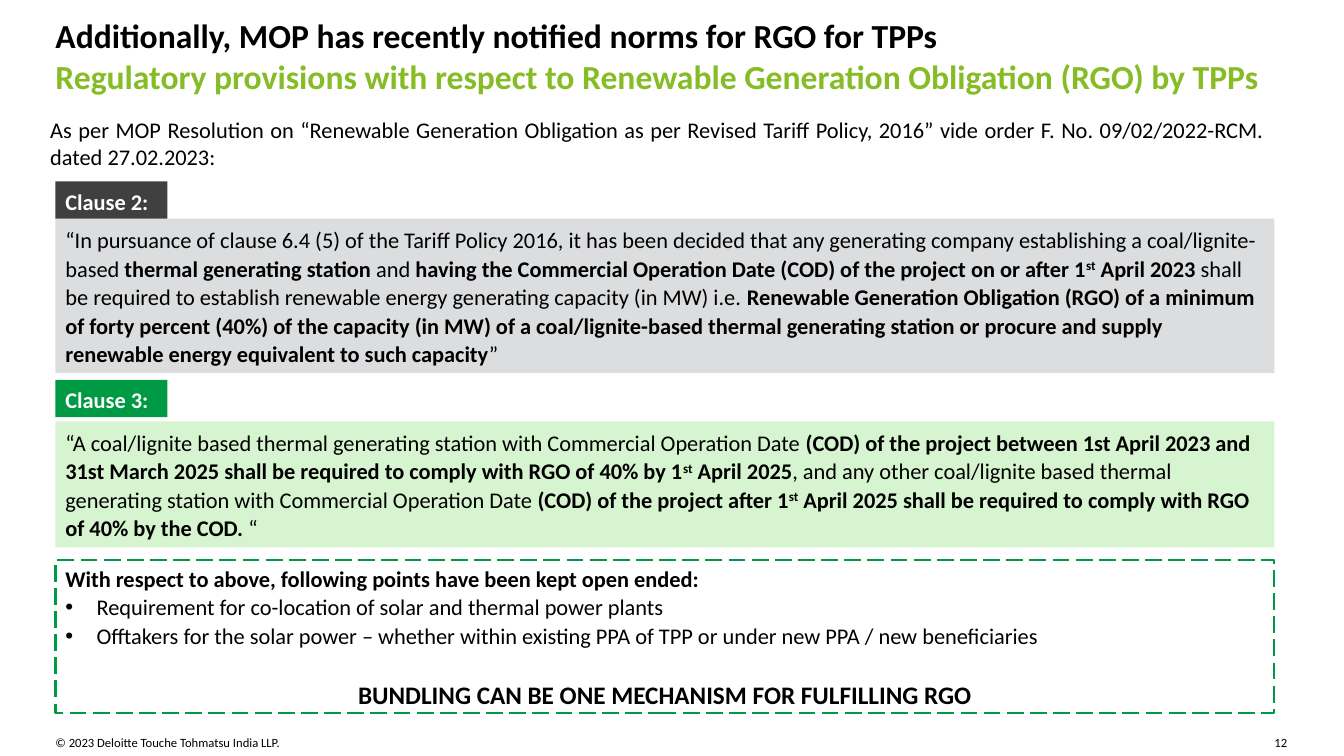
from lxml import etree
from pptx import Presentation
from pptx.dml.color import RGBColor
from pptx.enum.dml import MSO_LINE
from pptx.enum.shapes import MSO_SHAPE
from pptx.enum.text import MSO_ANCHOR, PP_ALIGN
from pptx.oxml.ns import qn
from pptx.util import Inches, Pt

RECTANGLE = MSO_SHAPE.RECTANGLE
LONG_DASH = MSO_LINE.LONG_DASH
TOP, MIDDLE = MSO_ANCHOR.TOP, MSO_ANCHOR.MIDDLE
LEFT, CENTER, JUSTIFY = PP_ALIGN.LEFT, PP_ALIGN.CENTER, PP_ALIGN.JUSTIFY

BLACK = RGBColor(0x00, 0x00, 0x00)
WHITE = RGBColor(0xFF, 0xFF, 0xFF)
LIME = RGBColor(0x86, 0xBC, 0x25)
GREEN = RGBColor(0x00, 0x9A, 0x44)
PALE_GREEN = RGBColor(0xD7, 0xF4, 0xD0)
CHARCOAL = RGBColor(0x40, 0x40, 0x40)
GREY = RGBColor(0xDC, 0xDD, 0xDF)

FONT = "Calibri"
SLIDE_WIDTH, SLIDE_HEIGHT = 13.33, 7.5
MARGIN = 0.55
BODY_WIDTH = 12.09
HEADING_WIDTH = 12.24
TAB_WIDTH, TAB_HEIGHT = 1.11, 0.37
PADDING = 0.1
BULLET_INDENT = 0.31
LINE_SPACING = 1.06

CLAUSE_2 = (
    "“In pursuance of clause 6.4 (5) of the Tariff Policy 2016, it has been decided that any "
    "generating company establishing a coal/lignite-based *thermal generating station *and "
    "*having the Commercial Operation Date (COD) of the project on or after 1^st^ April 2023 *"
    "shall be required to establish renewable energy generating capacity (in MW) i.e. "
    "*Renewable Generation Obligation (RGO) of a minimum of forty percent (40%) of the capacity "
    "(in MW) of a coal/lignite-based thermal generating station or procure and supply renewable "
    "energy equivalent to such capacity*”"
)
CLAUSE_3 = (
    "“A coal/lignite based thermal generating station with Commercial Operation Date "
    "*(COD) of the project between 1st April 2023 and 31st March 2025 shall be required to "
    "comply with RGO of 40% by 1^st^ April 2025*, and any other coal/lignite based thermal "
    "generating station with Commercial Operation Date *(COD) of the project after 1^st^ April "
    "2025 shall be required to comply with RGO of 40% by the COD.* “"
)
OPEN_POINTS = (
    "Requirement for co-location of solar and thermal power plants",
    "Offtakers for the solar power – whether within existing PPA of TPP or under new PPA / "
    "new beneficiaries",
)


def write(frame, text, size=16, color=BLACK, align=LEFT, spacing=1.0, before=0, after=0,
          bullet=False):
    """Asterisks enclose bold text and carets enclose superscripts."""
    first = frame.paragraphs[0]
    paragraph = frame.add_paragraph() if first.runs else first
    paragraph.alignment = align
    paragraph.line_spacing = spacing
    paragraph.space_before, paragraph.space_after = Pt(before), Pt(after)
    if bullet:
        properties = paragraph._p.get_or_add_pPr()
        properties.set("marL", str(Inches(BULLET_INDENT)))
        properties.set("indent", str(-Inches(BULLET_INDENT)))
        etree.SubElement(properties, qn("a:buFont")).set("typeface", "Arial")
        etree.SubElement(properties, qn("a:buChar")).set("char", "•")
    for bold_index, passage in enumerate(text.split("*")):
        for raised_index, piece in enumerate(passage.split("^")):
            if not piece:
                continue
            run = paragraph.add_run()
            run.text = piece
            run.font.name, run.font.size = FONT, Pt(size)
            run.font.color.rgb = color
            run.font.bold = bold_index % 2 == 1
            if raised_index % 2:
                run._r.get_or_add_rPr().set("baseline", "30000")


def set_frame(frame, anchor, inset_x, inset_y, wrap=True):
    frame.word_wrap = wrap
    frame.vertical_anchor = anchor
    frame.margin_left = frame.margin_right = Inches(inset_x)
    frame.margin_top = frame.margin_bottom = Inches(inset_y)
    return frame


def add_text(slide, left, top, width, height, inset_x=0, inset_y=0, wrap=True):
    box = slide.shapes.add_textbox(*map(Inches, (left, top, width, height)))
    return set_frame(box.text_frame, TOP, inset_x, inset_y, wrap)


def add_panel(slide, left, top, width, height, fill=None, outline=None, anchor=MIDDLE,
              inset_y=PADDING):
    panel = slide.shapes.add_shape(RECTANGLE, *map(Inches, (left, top, width, height)))
    panel.shadow.inherit = False
    if fill is None:
        panel.fill.background()
    else:
        panel.fill.solid()
        panel.fill.fore_color.rgb = fill
    if outline is None:
        panel.line.fill.background()
    else:
        panel.line.color.rgb = outline
        panel.line.width = Pt(1.5)
        panel.line.dash_style = LONG_DASH
    return set_frame(panel.text_frame, anchor, PADDING, inset_y)


def add_heading(slide, left, top, width, height):
    title = add_text(slide, left, top, width, height)
    write(title, "*Additionally, MOP has recently notified norms for RGO for TPPs*", size=24)
    write(title, "*Regulatory provisions with respect to Renewable Generation Obligation (RGO) "
                 "by TPPs*", size=24, color=LIME)


def add_introduction(slide, left, top, width, height):
    introduction = add_text(slide, left, top, width, height, PADDING, PADDING / 2)
    write(introduction, "As per MOP Resolution on “Renewable Generation Obligation as per Revised "
                        "Tariff Policy, 2016” vide order F. No. 09/02/2022-RCM. dated 27.02.2023:",
          align=JUSTIFY)


def add_clause(slide, left, top, width, height, label, clause, tab_fill, body_fill, gap=0):
    body_offset = TAB_HEIGHT + gap
    body = add_panel(slide, left, top + body_offset, width, height - body_offset, body_fill)
    write(body, clause, spacing=LINE_SPACING, after=6)
    tab = add_panel(slide, left, top, TAB_WIDTH, TAB_HEIGHT, tab_fill, anchor=TOP,
                    inset_y=PADDING / 2)
    write(tab, f"*{label}*", color=WHITE, spacing=LINE_SPACING)


def add_open_points(slide, left, top, width, height):
    points = add_panel(slide, left, top, width, height, outline=GREEN)
    write(points, "*With respect to above, following points have been kept open ended:*",
          spacing=LINE_SPACING)
    for point in OPEN_POINTS:
        write(points, point, spacing=LINE_SPACING, bullet=True)
    write(points, "*BUNDLING CAN BE ONE MECHANISM FOR FULFILLING RGO*", size=18, align=CENTER,
          spacing=LINE_SPACING, before=20.5)


def add_footer(slide, left, top, width, height):
    copyright_line = add_text(slide, left, top, width / 2, height)
    write(copyright_line, "© 2023 Deloitte Touche Tohmatsu India LLP.", size=9)
    number_width = 0.15
    page_number = add_text(slide, left + width - number_width, top, number_width, height,
                           wrap=False)
    write(page_number, "12", size=9)


def main():
    presentation = Presentation()
    presentation.slide_width = Inches(SLIDE_WIDTH)
    presentation.slide_height = Inches(SLIDE_HEIGHT)
    slide = presentation.slides.add_slide(presentation.slide_layouts[6])
    add_heading(slide, MARGIN, 0.15, HEADING_WIDTH, 0.8)
    add_introduction(slide, 0.4, 1.1, HEADING_WIDTH, 0.64)
    add_clause(slide, MARGIN, 1.8, BODY_WIDTH, 1.9, "Clause 2:", CLAUSE_2, CHARCOAL, GREY)
    add_clause(slide, MARGIN, 3.77, BODY_WIDTH, 1.66, "Clause 3:", CLAUSE_3, GREEN, PALE_GREEN,
               gap=0.04)
    add_open_points(slide, MARGIN, 5.56, BODY_WIDTH, 1.51)
    add_footer(slide, MARGIN, 7.29, HEADING_WIDTH, 0.15)
    presentation.save("out.pptx")


if __name__ == "__main__":
    main()
